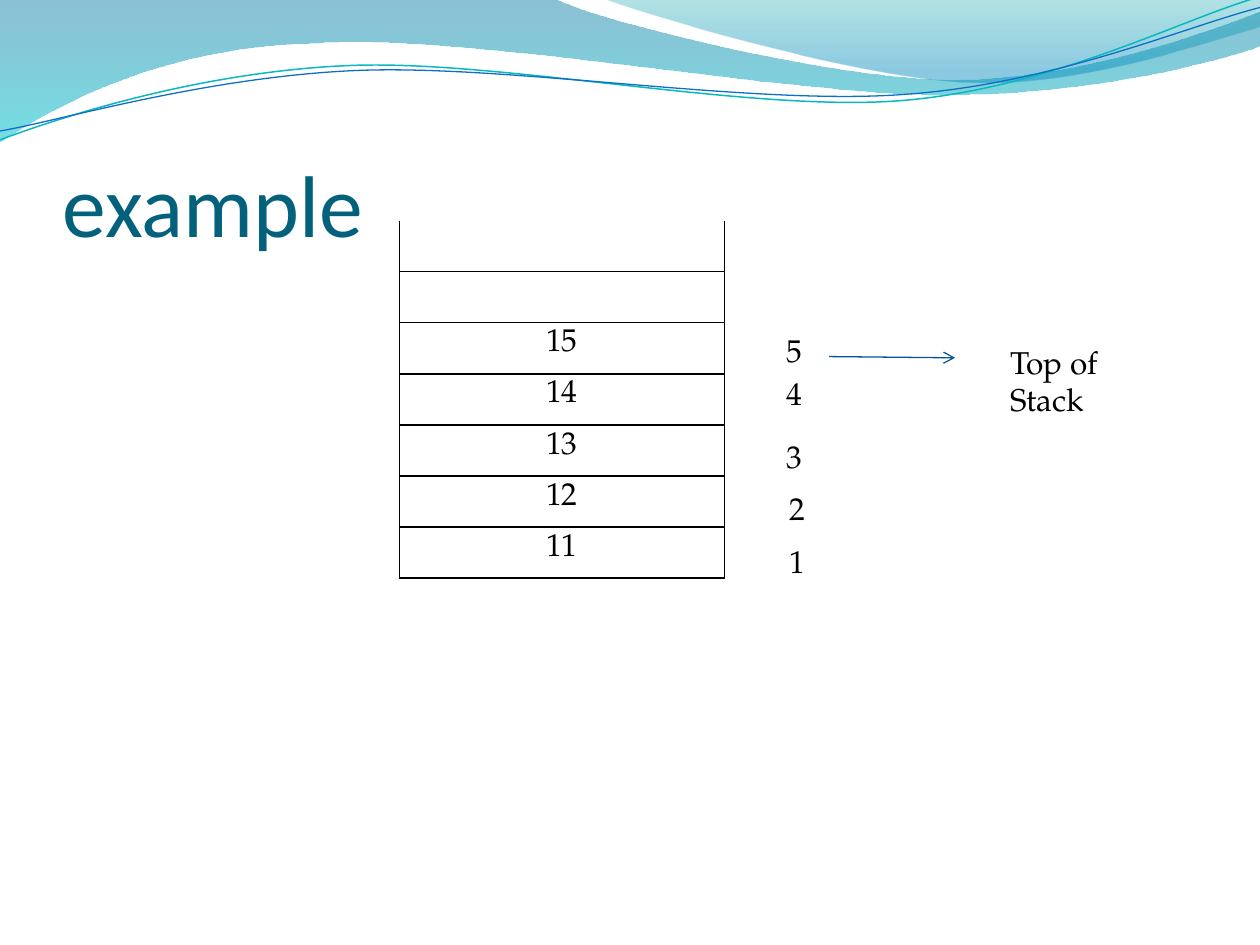
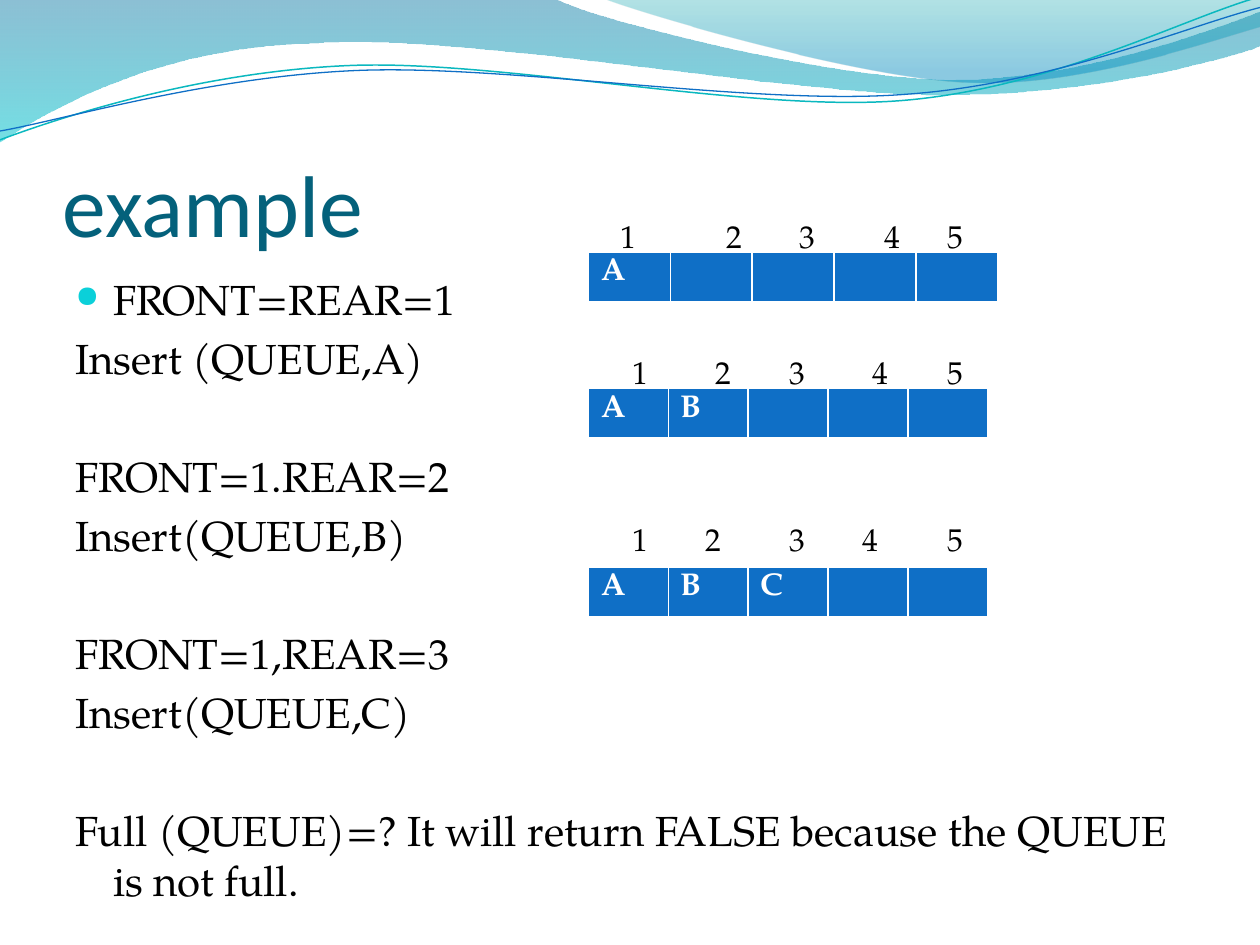
from math import cos, radians, sin

from lxml.etree import SubElement
from pptx import Presentation
from pptx.dml.color import RGBColor
from pptx.enum.shapes import MSO_CONNECTOR
from pptx.enum.text import MSO_ANCHOR, PP_ALIGN
from pptx.oxml import parse_xml
from pptx.oxml.ns import nsdecls, qn
from pptx.util import Inches, Pt

BODY_FONT = "TeX Gyre Pagella"
TITLE_FONT = "Calibri"
BLACK, WHITE, BLUE = "000000", "FFFFFF", "0F6FC6"
TITLE_COLOR, BULLET_COLOR, ARROW_COLOR = "04617B", "0BD0D9", "095295"
WAVE_TILT = 2.7

# Each outline is a start point followed by segments:
# two numbers for a straight line, six for a Bezier curve.
BANDS = [
    ([(0, 0), (4.4, -0.01), (4.76, 0.17, 6.64, 0.63, 7.58, 0.63),
      (8.53, 0.63, 9.58, 0.26, 10, 0.09), (10.01, 0.36),
      (9.83, 0.44, 8.7, 0.76, 7.46, 0.75), (6.22, 0.75, 3.82, 0.28, 2.57, 0.34),
      (1.29, 0.36, 0.46, 0.83, -0.01, 1.13), (0, 0)],
     [(0, "0074A1", 45), (1, "00C6CF", 55)]),
    ([(4.79, -0.01), (5.09, 0.11, 6.82, 0.62, 7.69, 0.65),
      (8.56, 0.69, 9.61, 0.32, 10, 0.21), (10, 0), (4.79, -0.01)],
     [(0, "00A1A9", 30), (0.8, "008BBF", 45)]),
]
# Outline, centre of the tilt, colour and line width
WAVES = [
    ([(0, 1.11), (0.48, 0.93, 1.58, 0.57, 2.77, 0.52),
      (3.95, 0.47, 5.93, 0.89, 7.13, 0.8), (8.33, 0.71, 9.38, 0.15, 9.98, -0.02)],
     (4.99, 0.58), "0AB8BF", 0.85),
    ([(0, 1.04), (0.47, 0.96, 1.64, 0.61, 2.83, 0.56),
      (4.03, 0.51, 5.97, 0.84, 7.17, 0.75), (8.36, 0.67, 9.41, 0.21, 10, 0.06)],
     (5, 0.59), BLUE, 0.75),
]


def color(value):
    return RGBColor.from_string(value)


def pairs(segment):
    return list(zip(segment[::2], segment[1::2]))


def turn(segment, center, degrees):
    """Turn the points of a segment clockwise around the centre."""
    cosine, sine = cos(radians(degrees)), sin(radians(degrees))
    turned = []
    for x, y in pairs(segment):
        dx, dy = x - center[0], y - center[1]
        turned += [center[0] + dx * cosine - dy * sine, center[1] + dx * sine + dy * cosine]
    return turned


def add_outline(page, outline, closed):
    points = [(Inches(x), Inches(y)) for segment in outline for x, y in pairs(segment)]
    builder = page.shapes.build_freeform(*points[0], scale=1.0)
    builder.add_line_segments(points[1:], close=closed)
    shape = builder.convert_to_shape()
    shape.shadow.inherit = False
    lines = iter(list(shape.element.iter(qn("a:lnTo"))))
    for segment in outline[1:]:
        curve = next(lines)
        if len(segment) == 6:
            curve.tag = qn("a:cubicBezTo")
            for line in (next(lines), next(lines)):
                curve.append(line[0])
                line.getparent().remove(line)
    return shape


def add_header(page):
    for outline, stops in BANDS:
        band = add_outline(page, outline, True)
        band.line.fill.background()
        band.fill.gradient()
        band.fill.gradient_angle = 270
        for stop, (position, tint, _) in zip(band.fill.gradient_stops, stops):
            stop.position = position
            stop.color.rgb = color(tint)
        tints = list(band.element.spPr.iter(qn("a:srgbClr")))
        for tint, (_, _, opacity) in zip(tints, stops):
            SubElement(tint, qn("a:alpha"), val=str(opacity * 1000))
    for outline, center, tint, width in WAVES:
        level = [turn(segment, center, WAVE_TILT) for segment in outline]
        wave = add_outline(page, level, False)
        wave.rotation = 360 - WAVE_TILT
        wave.fill.background()
        wave.line.color.rgb = color(tint)
        wave.line.width = Pt(width)


def write(para, text, size=18, font=BODY_FONT, tint=BLACK, bold=False, align=PP_ALIGN.LEFT):
    para.alignment = align
    span = para.add_run()
    span.text = text
    span.font.size = Pt(size)
    span.font.name = font
    span.font.bold = bold
    span.font.color.rgb = color(tint)


def add_text(page, text, left, top, width=0.33, height=0.4, wrap=False, **style):
    box = page.shapes.add_textbox(Inches(left), Inches(top), Inches(width), Inches(height))
    box.text_frame.word_wrap = wrap
    write(box.text_frame.paragraphs[0], text, **style)
    return box


def add_title(page, text):
    frame = add_text(page, text, 0.5, 0.77, 9, 1.25, wrap=True,
                     size=50, font=TITLE_FONT, tint=TITLE_COLOR).text_frame
    frame.vertical_anchor = MSO_ANCHOR.BOTTOM
    frame.margin_left = frame.margin_right = frame.margin_bottom = 0


def set_borders(cell, tint, **widths):
    """Draw the sides L, R, T and B in points; a width of 0 hides a side."""
    properties = cell._tc.get_or_add_tcPr()
    for index, side in enumerate("LRTB"):
        width = widths.get(side, 1)
        paint = f'<a:solidFill><a:srgbClr val="{tint}"/></a:solidFill>' if width else "<a:noFill/>"
        properties.insert(index, parse_xml(
            f'<a:ln{side} {nsdecls("a")} w="{Pt(width)}">{paint}</a:ln{side}>'))


def add_grid(page, rows, columns, left, top, width, height):
    table = page.shapes.add_table(rows, columns, Inches(left), Inches(top),
                                  Inches(width), Inches(height)).table
    table.first_row = table.horz_banding = False
    return table


def add_stack(page, values, left, top, width, height):
    table = add_grid(page, len(values), 1, left, top, width, height)
    for index, value in enumerate(values):
        cell = table.cell(index, 0)
        cell.fill.background()
        set_borders(cell, BLACK, T=1 if index else 0)
        if value:
            write(cell.text_frame.paragraphs[0], value, align=PP_ALIGN.CENTER)


def add_queue(page, values, top, width, label_top, label_lefts, left=4.67):
    table = add_grid(page, 1, len(label_lefts), left, top, width, 0.41)
    for index, cell in enumerate(table.iter_cells()):
        cell.fill.solid()
        cell.fill.fore_color.rgb = color(BLUE)
        set_borders(cell, WHITE, B=3)
        if index < len(values):
            write(cell.text_frame.paragraphs[0], values[index], tint=WHITE, bold=True)
    for number, offset in enumerate(label_lefts, 1):
        add_text(page, str(number), left + offset, top + label_top)


def add_arrow(page, x1, y1, x2, y2):
    arrow = page.shapes.add_connector(MSO_CONNECTOR.STRAIGHT, Inches(x1), Inches(y1),
                                      Inches(x2), Inches(y2))
    arrow.line.color.rgb = color(ARROW_COLOR)
    arrow.line.width = Pt(0.75)
    SubElement(arrow.line._get_or_add_ln(), qn("a:tailEnd"), type="arrow")
    SubElement(arrow.element.spPr, qn("a:effectLst"))


def add_steps(page, groups, left, top, width, height):
    box = page.shapes.add_textbox(Inches(left), Inches(top), Inches(width), Inches(height))
    frame = box.text_frame
    frame.word_wrap = True
    for group_index, group in enumerate(groups):
        for line_index, text in enumerate(group):
            first = group_index == line_index == 0
            para = frame.paragraphs[0] if first else frame.add_paragraph()
            para.space_before = Pt(0 if first else 4.9 if line_index else 38.6)
            write(para, text, size=24)
            properties = para._p.get_or_add_pPr()
            properties.set("marL", str(Inches(0.3)))
            properties.set("indent", str(Inches(-0.3)))
            if first:
                tint = SubElement(properties, qn("a:buClr"))
                SubElement(tint, qn("a:srgbClr"), val=BULLET_COLOR)
                SubElement(properties, qn("a:buSzPct"), val="72000")
                SubElement(properties, qn("a:buChar"), char="●")
            else:
                SubElement(properties, qn("a:buNone"))


def add_page(deck, title):
    page = deck.slides.add_slide(deck.slide_layouts[6])
    add_header(page)
    add_title(page, title)
    return page


def build_stack_page(deck):
    page = add_page(deck, "example")
    add_stack(page, ["", "", "15", "14", "13", "12", "11"], 3.17, 1.75, 2.58, 2.84)
    for text, top in (("1", 4.25), ("2", 3.83)):
        add_text(page, text, 6.17, top)
    for text, top in ((" 3", 3.42), (" 4", 2.92), (" 5", 2.58)):
        add_text(page, text, 6.08, top, 0.39)
    add_arrow(page, 6.58, 2.83, 7.58, 2.84)
    add_text(page, "Top of Stack", 7.92, 2.67, 1.43, wrap=True)


def build_queue_page(deck):
    page = add_page(deck, "example")
    add_steps(page, [
        ["FRONT=REAR=1", "Insert (QUEUE,A)"],
        ["FRONT=1.REAR=2", "Insert(QUEUE,B)"],
        ["FRONT=1,REAR=3", "Insert(QUEUE,C)"],
        ["Full (QUEUE)=? It will return FALSE because the QUEUE is not full."],
    ], 0.5, 2.12, 9, 4.8)
    add_queue(page, "A", 2, 3.25, -0.33, [0.16, 1, 1.58, 2.25, 2.75])
    add_queue(page, "AB", 3.08, 3.17, -0.33, [0.25, 0.91, 1.5, 2.16, 2.75])
    add_queue(page, "ABC", 4.5, 3.17, -0.42, [0.25, 0.83, 1.5, 2.08, 2.75])


def main():
    deck = Presentation()
    deck.slide_width, deck.slide_height = Inches(10), Inches(7.5)
    build_stack_page(deck)
    build_queue_page(deck)
    deck.save("out.pptx")


if __name__ == "__main__":
    main()
